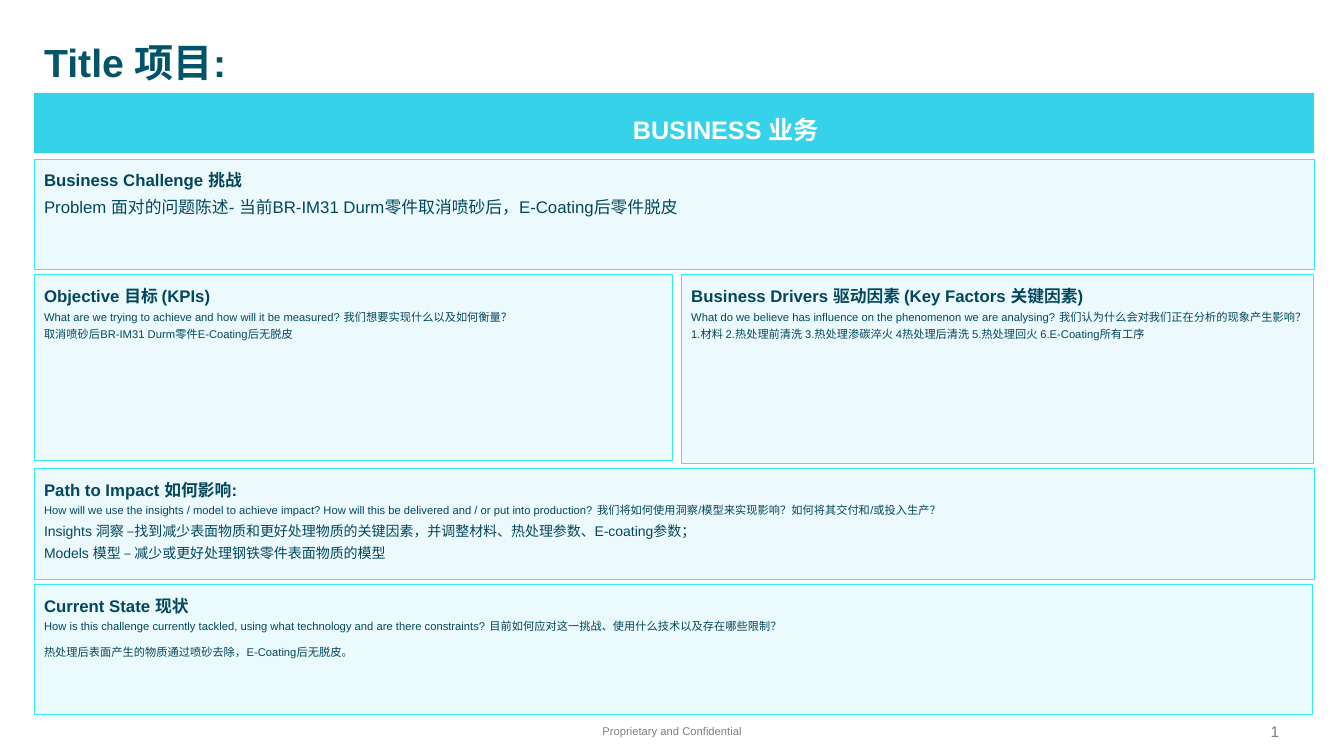
from lxml import etree
from pptx import Presentation
from pptx.dml.color import RGBColor
from pptx.enum.shapes import MSO_SHAPE
from pptx.enum.text import MSO_ANCHOR, MSO_AUTO_SIZE, PP_ALIGN
from pptx.oxml.ns import qn
from pptx.util import Cm, Pt

RECTANGLE = MSO_SHAPE.RECTANGLE
TOP, MIDDLE = MSO_ANCHOR.TOP, MSO_ANCHOR.MIDDLE
LEFT, CENTER, RIGHT = PP_ALIGN.LEFT, PP_ALIGN.CENTER, PP_ALIGN.RIGHT
NO_AUTOFIT = MSO_AUTO_SIZE.NONE

TITLE_COLOR, TEXT_COLOR, FOOTER_COLOR = "03536B", "04475D", "7F7F7F"
CYAN, PALE_CYAN, BORDER, WHITE = "36D2E9", "9BE9F4", "31EBFF", "FFFFFF"
MARGIN, FULL_WIDTH = 0.86, 32.26

CARDS = [
    ((MARGIN, 4.01, FULL_WIDTH, 2.79), CYAN, 9, [
        ("Business Challenge 挑战", 12, 0),
        ("Problem 面对的问题陈述- 当前BR-IM31 Durm零件取消喷砂后，E-Coating后零件脱皮", 12, 0),
    ]),
    ((MARGIN, 6.93, 16.08, 4.67), CYAN, 9, [
        ("Objective 目标 (KPIs)", 12, 0),
        ("What are we trying to achieve and how will it be measured? "
         "我们想要实现什么以及如何衡量？", 8, 0),
        ("取消喷砂后BR-IM31 Durm零件E-Coating后无脱皮", 8, 0),
    ]),
    ((17.17, 6.93, 15.93, 4.75), CYAN, 9, [
        ("Business Drivers 驱动因素 (Key Factors 关键因素)", 12, 0),
        ("What do we believe has influence on the phenomenon we are analysing? "
         "我们认为什么会对我们正在分析的现象产生影响？", 8, 0),
        ("1.材料 2.热处理前清洗 3.热处理渗碳淬火 4热处理后清洗 5.热处理回火 "
         "6.E-Coating所有工序", 8, 0),
    ]),
    ((MARGIN, 11.81, FULL_WIDTH, 2.79), CYAN, 9, [
        ("Path to Impact 如何影响:", 12, 0),
        ("How will we use the insights / model to achieve impact? "
         "How will this be delivered and / or put into production? "
         "我们将如何使用洞察/模型来实现影响？如何将其交付和/或投入生产？", 8, 0),
        ("Insights 洞察 –找到减少表面物质和更好处理物质的关键因素，"
         "并调整材料、热处理参数、E-coating参数；", 10, 0),
        ("Models 模型 – 减少或更好处理钢铁零件表面物质的模型", 10, 0),
    ]),
    ((MARGIN, 14.73, 32.23, 3.28), PALE_CYAN, 20, [
        ("Current State 现状", 12, 0),
        ("How is this challenge currently tackled, using what technology and are there "
         "constraints? 目前如何应对这一挑战、使用什么技术以及存在哪些限制？", 8, 6),
        ("热处理后表面产生的物质通过喷砂去除，E-Coating后无脱皮。", 8, 6),
    ]),
]


def rgb(value):
    """Turn a hex string into a colour."""
    return RGBColor.from_string(value)


def format_paragraph(paragraph, text, size, color, bold=False, align=LEFT):
    """Write the text of a paragraph and set its font and alignment."""
    paragraph.text = text
    paragraph.alignment = align
    font = paragraph.font
    font.name, font.size, font.bold = "Arial", Pt(size), bold
    font.color.rgb = rgb(color)


def add_title(slide, box, text):
    """Move the title placeholder into the box and format it."""
    title = slide.shapes.title
    title.left, title.top, title.width, title.height = map(Cm, box)
    frame = title.text_frame
    frame.auto_size = NO_AUTOFIT
    frame.vertical_anchor = TOP
    format_paragraph(frame.paragraphs[0], text, 28, TITLE_COLOR, bold=True)


def add_label(slide, box, text, size, color, bold=False, align=LEFT, anchor=MIDDLE):
    """Add a one-paragraph text box and return its paragraph."""
    frame = slide.shapes.add_textbox(*map(Cm, box)).text_frame
    frame.word_wrap = True
    frame.vertical_anchor = anchor
    paragraph = frame.paragraphs[0]
    format_paragraph(paragraph, text, size, color, bold, align)
    return paragraph


def add_rectangle(slide, box, fill):
    """Add a filled rectangle without shadow."""
    shape = slide.shapes.add_shape(RECTANGLE, *map(Cm, box))
    shape.shadow.inherit = False
    shape.fill.solid()
    shape.fill.fore_color.rgb = rgb(fill)
    return shape


def add_banner(slide, box, text):
    """Add the section banner with its heading."""
    left, top, width, height = box
    add_rectangle(slide, box, CYAN).line.fill.background()
    heading_box = (left + 14.84, top + 0.2, 5.87, 1.14)
    heading = add_label(slide, heading_box, text, 18, WHITE, bold=True, anchor=TOP)
    heading.line_spacing = 1.3


def add_card(slide, box, fill, opacity, lines):
    """Add a translucent card with a bold heading and its body lines."""
    shape = add_rectangle(slide, box, fill)
    color = shape.fill._xPr.find(qn("a:solidFill"))[0]
    etree.SubElement(color, qn("a:alpha"), val=str(opacity * 1000))
    shape.line.color.rgb = rgb(BORDER)
    shape.line.width = Pt(0.75)
    frame = shape.text_frame
    frame.word_wrap = True
    frame.vertical_anchor = TOP
    for index, (text, size, space_after) in enumerate(lines):
        paragraph = frame.add_paragraph() if index else frame.paragraphs[0]
        format_paragraph(paragraph, text, size, TEXT_COLOR, bold=index == 0)
        paragraph.line_spacing = 1.3
        paragraph.space_after = Pt(space_after)


def add_footer(slide, top, height):
    """Add the confidentiality note and the page number."""
    add_label(slide, (12.85, top, 8.18, height), "Proprietary and Confidential",
              8, FOOTER_COLOR, align=CENTER)
    add_label(slide, (31.32, top, 1.17, height), "1", 11, FOOTER_COLOR, align=RIGHT)


def main():
    """Build the project canvas slide and save it."""
    presentation = Presentation()
    presentation.slide_width, presentation.slide_height = Cm(33.87), Cm(19.05)
    slide = presentation.slides.add_slide(presentation.slide_layouts[5])
    add_title(slide, (MARGIN, 0.84, 32.21, 1.45), "Title 项目:")
    add_banner(slide, (MARGIN, 2.34, FULL_WIDTH, 1.52), "BUSINESS 业务")
    for card in CARDS:
        add_card(slide, *card)
    add_footer(slide, 17.91, 1.02)
    presentation.save("out.pptx")


if __name__ == "__main__":
    main()
